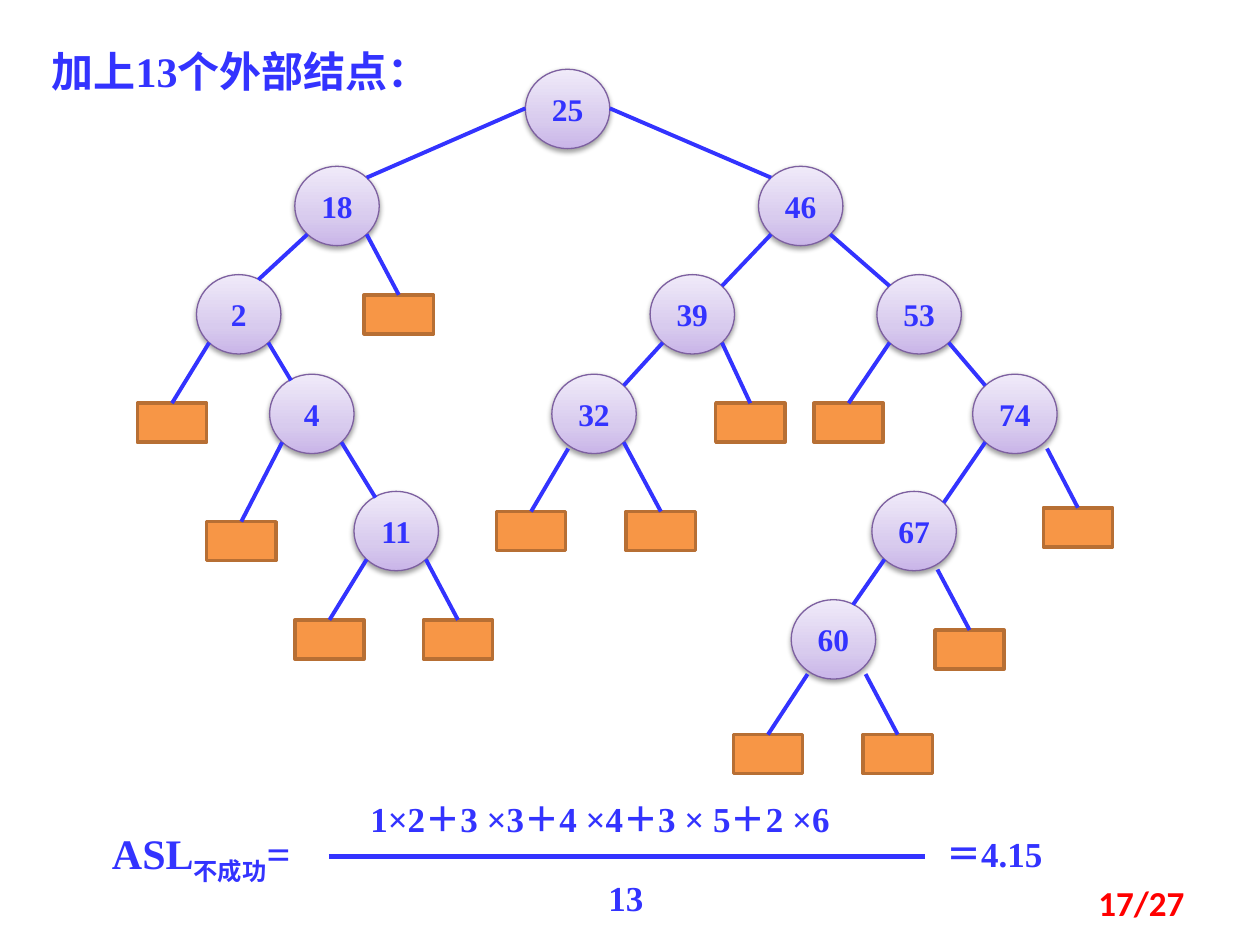
from lxml import etree
from pptx import Presentation
from pptx.dml.color import RGBColor
from pptx.enum import shapes, text
from pptx.oxml.ns import qn
from pptx.util import Inches, Pt

# Grid: 100 columns by 75 rows of a tenth of an inch
UNIT = Inches(0.1)
COLS, ROWS = 100, 75
HUES = {
    "ink": "3333FF", "rim": "7D60A0", "leaf": "F79646", "edge": "B76F34",
    "page": "FF0000", "shade": "000000",
}
GRAD = [(0, "C9B5E8"), (35, "D8CBEE"), (100, "F0EAF9")]
SERIF = "Times New Roman"

NODE_W, NODE_H = 6.7, 6.3
LEAF_W, LEAF_H = 5.5, 3.1
LEVELS = [5.5, 13.2, 21.8, 29.7, 39, 47.6]

# key: (left column, level)
NODES = {
    25: (41.7, 0), 18: (23.4, 1), 46: (60.2, 1),
    2: (15.6, 2), 39: (51.6, 2), 53: (69.6, 2),
    4: (21.4, 3), 32: (43.8, 3), 74: (77.2, 3),
    11: (28.1, 4), 67: (69.2, 4), 60: (62.8, 5),
}

# Points on a circle, measured from its top left corner
SPOTS = {
    "l": (0, 3.1), "r": (6.7, 3.1),
    "tl": (1, 0.9), "tr": (5.7, 0.9), "bl": (1, 5.4), "br": (5.7, 5.4),
    # looser spots, a little off the rim corners
    "tl+": (1.7, 0.5), "tr+": (4.9, 0.4),
    "bl+": (1.3, 5.9), "br+": (5.9, 5.9), "br-": (5.2, 6.2),
}

# (parent, spot, child, spot)
LINKS = [
    (25, "l", 18, "tr"), (25, "r", 46, "tl"),
    (18, "bl", 2, "tr+"), (2, "br", 4, "tl+"), (4, "br", 11, "tl+"),
    (46, "bl", 39, "tr"), (46, "br", 53, "tl"), (39, "bl", 32, "tr"),
    (53, "br", 74, "tl"), (74, "bl", 67, "tr"), (67, "bl", 60, "tr+"),
]

# (parent, spot, left column, top row)
LEAVES = [
    (18, "br", 28.9, 23.4), (2, "bl", 10.9, 32), (4, "bl", 16.4, 41.4),
    (11, "bl", 23.4, 49.2), (11, "br", 33.6, 49.2),
    (39, "br", 56.8, 32), (53, "bl", 64.6, 32),
    (32, "bl+", 39.4, 40.6), (32, "br", 49.7, 40.6),
    (74, "br+", 82.8, 40.3), (67, "br-", 74.2, 50),
    (60, "bl+", 58.2, 58.3), (60, "br+", 68.5, 58.3),
]


def grid(*nums):
    return [round(n * UNIT) for n in nums]


def rgb(name):
    return RGBColor.from_string(HUES[name])


def style(para, size, hue="ink", face=SERIF):
    font = para.font
    font.size, font.name, font.bold = Pt(size), face, True
    font.color.rgb = rgb(hue)


def block(slide, kind, box, line, width):
    shape = slide.shapes.add_shape(kind, *grid(*box))
    shape.shadow.inherit = False
    shape.line.color.rgb = rgb(line)
    shape.line.width = Pt(width)
    return shape


def shade(shape):
    """Three-stop gradient and a soft shadow below."""
    shape.fill.gradient()
    shape.fill.gradient_angle = 90
    props = shape._element.spPr
    stops = props.find(".//" + qn("a:gsLst"))
    for old in list(stops):
        stops.remove(old)
    for pos, hue in GRAD:
        stop = etree.SubElement(stops, qn("a:gs"), pos=str(pos * 1000))
        etree.SubElement(stop, qn("a:srgbClr"), val=hue)
    glow = etree.SubElement(
        props.find(qn("a:effectLst")), qn("a:outerShdw"),
        blurRad=str(Pt(3.1)), dist=str(Pt(1.6)), dir="5400000", rotWithShape="0")
    tint = etree.SubElement(glow, qn("a:srgbClr"), val=HUES["shade"])
    etree.SubElement(tint, qn("a:alpha"), val="38000")


def node(slide, key):
    col, level = NODES[key]
    shape = block(slide, shapes.MSO_SHAPE.OVAL,
                  (col, LEVELS[level], NODE_W, NODE_H), "rim", 0.75)
    shade(shape)
    frame = shape.text_frame
    frame.vertical_anchor = text.MSO_ANCHOR.MIDDLE
    frame.word_wrap = False
    para = frame.paragraphs[0]
    para.text = str(key)
    para.alignment = text.PP_ALIGN.CENTER
    style(para, 18)


def spot(key, name):
    col, level = NODES[key]
    dx, dy = SPOTS[name]
    return col + dx, LEVELS[level] + dy


def stroke(slide, start, end, width=2.25):
    line = slide.shapes.add_connector(
        shapes.MSO_CONNECTOR.STRAIGHT, *grid(*start, *end))
    line.line.color.rgb = rgb("ink")
    line.line.width = Pt(width)
    etree.SubElement(line._element.spPr, qn("a:effectLst"))
    return line


def leaf(slide, key, name, col, row):
    shape = block(slide, shapes.MSO_SHAPE.RECTANGLE,
                  (col, row, LEAF_W, LEAF_H), "edge", 2)
    shape.fill.solid()
    shape.fill.fore_color.rgb = rgb("leaf")
    line = stroke(slide, spot(key, name), (col + LEAF_W / 2, row))
    line.end_connect(shape, 0)


def label(slide, box, words, size=20, **look):
    frame = slide.shapes.add_textbox(*grid(*box)).text_frame
    frame.word_wrap = True
    para = frame.paragraphs[0]
    for word in words:
        para.add_run().text = word
    style(para, size, **look)
    return para


def title(slide, box, words):
    shape = slide.shapes.title
    shape.left, shape.top, shape.width, shape.height = grid(*box)
    frame = shape.text_frame
    frame.text = words
    frame.word_wrap = True
    frame.auto_size = text.MSO_AUTO_SIZE.NONE
    frame.vertical_anchor = text.MSO_ANCHOR.TOP
    para = frame.paragraphs[0]
    para.alignment = text.PP_ALIGN.LEFT
    style(para, 24)


def main():
    deck = Presentation()
    deck.slide_width, deck.slide_height = grid(COLS, ROWS)
    slide = deck.slides.add_slide(deck.slide_layouts[5])
    title(slide, (3.1, 3.1, 35.9, 5), "加上13个外部结点：")

    # Search tree with its external nodes
    for key in NODES:
        node(slide, key)
    for top, out, low, into in LINKS:
        stroke(slide, spot(top, out), spot(low, into))
    for item in LEAVES:
        leaf(slide, *item)

    # Average search length
    mean = label(slide, (7.9, 65.2, 18.1, 5), ["ASL", "不成功", "="], 24)
    mean.runs[1]._r.get_or_add_rPr().set("baseline", "-25000")
    label(slide, (28.4, 62.8, 48.8, 4.3), ["1×2＋3 ×3＋4 ×4＋3 × 5＋2 ×6"])
    stroke(slide, (26.1, 68), (73.4, 68), 3)
    label(slide, (47.3, 69.1, 7.1, 4.3), ["13"])
    label(slide, (74.1, 65.6, 10.2, 4.4), ["＝4.15"])

    # Page number
    page = label(slide, (71.7, 69.5, 23.3, 4), ["17/27"],
                 hue="page", face="Calibri")
    page.alignment = text.PP_ALIGN.RIGHT

    deck.save("out.pptx")


if __name__ == "__main__":
    main()
